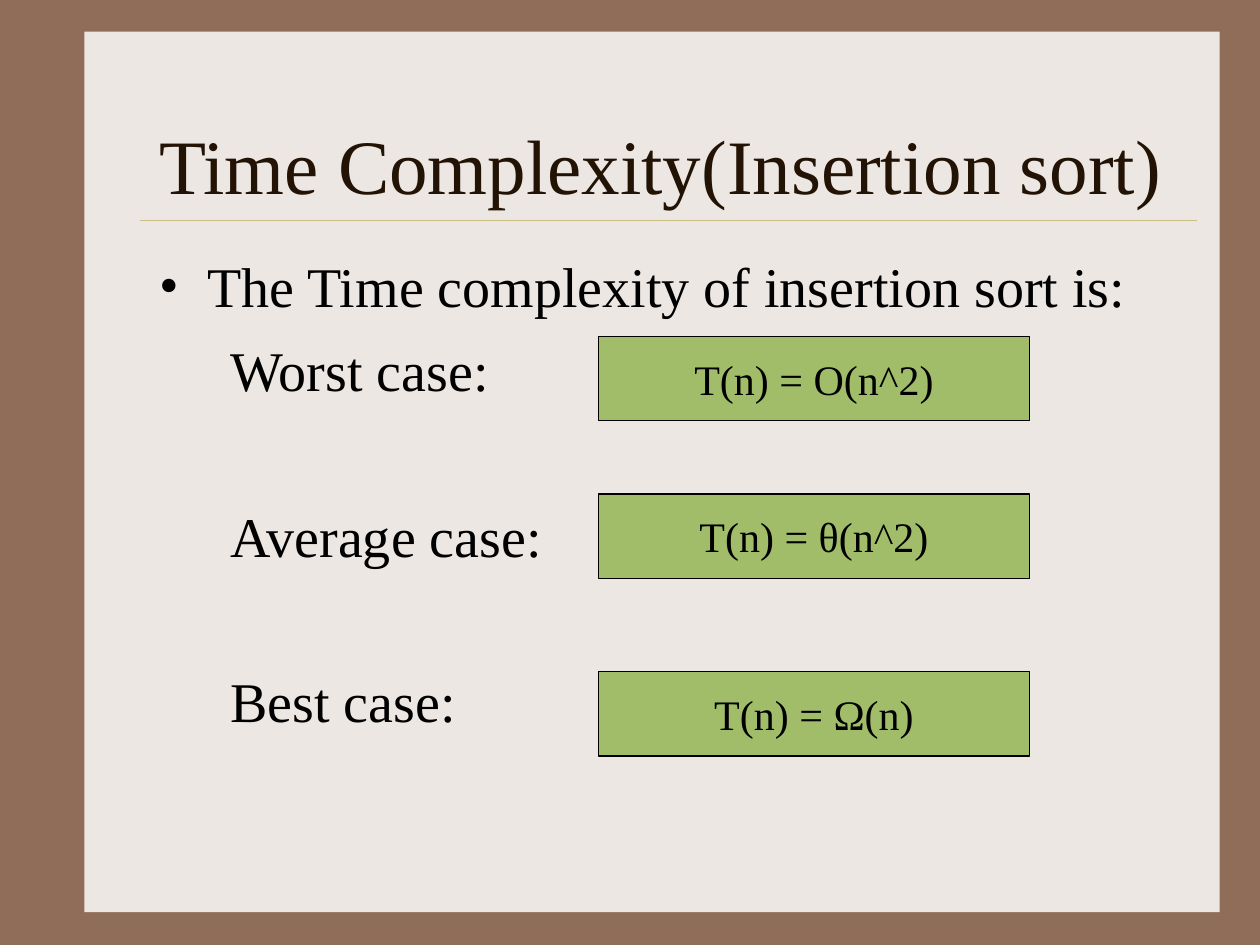
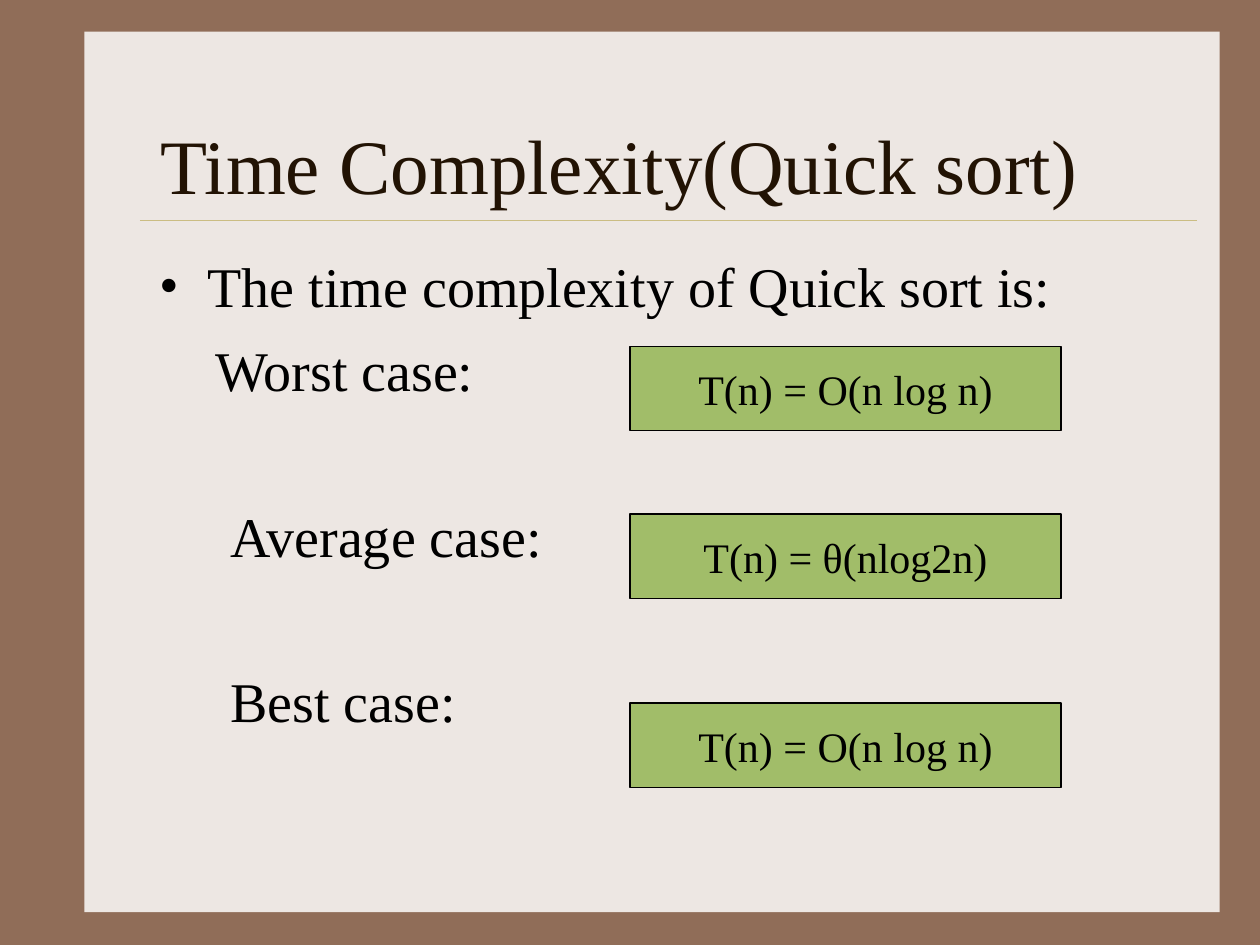
import pptx
import pptx.dml.color
import pptx.enum.shapes
import pptx.enum.text
import pptx.oxml.ns
import pptx.util
from lxml import etree
from pptx.util import Inches

FONT = "Times New Roman"
BROWN, PAPER, RULE = "906D58", "EDE7E3", "CBBD83"
TITLE_COLOR, BLACK, GREEN = "221304", "000000", "A1BD69"

SLIDES = [
    {
        "title": "Time Complexity(Insertion sort)",
        "title_left": 1.08,
        "intro": "The Time complexity of insertion sort is:",
        "box_left": 4.75,
        "cases": [
            ("Worst case:", 0.56, "T(n) = O(n^2)", 2.67),
            ("Average case:", 0.56, "T(n) = θ(n^2)", 3.92),
            ("Best case:", 0.56, "T(n) = Ω(n)", 5.33),
        ],
    },
    {
        "title": "Time Complexity(Quick sort)",
        "title_left": 0.75,
        "intro": "The time complexity of Quick sort is:",
        "box_left": 5,
        "cases": [
            ("Worst case:", 0.44, "T(n) = O(n log n)", 2.75),
            ("Average case:", 0.56, "T(n) = θ(nlog2n)", 4.08),
            ("Best case:", 0.56, "T(n) = O(n log n)", 5.58),
        ],
    },
]

TEXT_WIDTH = 8.33
BOX_WIDTH, BOX_HEIGHT = 3.42, 0.67
INTRO_INDENT = 0.38
FIRST_CASE_GAP, CASE_GAP = 9.6, 56


def color(hex_string):
    return pptx.dml.color.RGBColor.from_string(hex_string)


def format_text(paragraph, size, hex_string):
    for run in paragraph.runs:
        run.font.name = FONT
        run.font.size = pptx.util.Pt(size)
        run.font.color.rgb = color(hex_string)


def add_rectangle(slide, left, top, width, height, fill):
    shape = slide.shapes.add_shape(
        pptx.enum.shapes.MSO_SHAPE.RECTANGLE,
        Inches(left), Inches(top), Inches(width), Inches(height))
    shape.shadow.inherit = False
    shape.fill.solid()
    shape.fill.fore_color.rgb = color(fill)
    shape.line.fill.background()
    return shape


def center_text(text_frame, text, size, hex_string):
    text_frame.text = text
    text_frame.vertical_anchor = pptx.enum.text.MSO_ANCHOR.MIDDLE
    paragraph = text_frame.paragraphs[0]
    paragraph.alignment = pptx.enum.text.PP_ALIGN.CENTER
    format_text(paragraph, size, hex_string)


def add_text_frame(slide, left, top, height):
    text_frame = slide.shapes.add_textbox(
        Inches(left), Inches(top), Inches(TEXT_WIDTH), Inches(height)).text_frame
    text_frame.word_wrap = True
    return text_frame


def set_indent(paragraph, margin, indent=0):
    properties = paragraph._p.get_or_add_pPr()
    properties.set("marL", str(Inches(margin)))
    properties.set("indent", str(Inches(indent)))
    return properties


def add_bullet(properties):
    bullet_color = etree.SubElement(properties, pptx.oxml.ns.qn("a:buClr"))
    etree.SubElement(bullet_color, pptx.oxml.ns.qn("a:srgbClr"), val=BLACK)
    etree.SubElement(properties, pptx.oxml.ns.qn("a:buFont"), typeface=FONT)
    etree.SubElement(properties, pptx.oxml.ns.qn("a:buChar"), char="•")


def add_frame(slide):
    slide.background.fill.solid()
    slide.background.fill.fore_color.rgb = color(BROWN)
    add_rectangle(slide, 0.67, 0.25, 9.01, 6.99, PAPER)
    rule = slide.shapes.add_connector(
        pptx.enum.shapes.MSO_CONNECTOR.STRAIGHT,
        Inches(1.11), Inches(1.75), Inches(9.5), Inches(1.75))
    rule.line.color.rgb = color(RULE)
    rule.line.width = pptx.util.Pt(0.25)
    etree.SubElement(rule._element.spPr, pptx.oxml.ns.qn("a:effectLst"))


def add_case_list(slide, intro, cases):
    text_frame = add_text_frame(slide, 1.17, 1.95, 4.5)
    paragraph = text_frame.paragraphs[0]
    paragraph.text = intro
    add_bullet(set_indent(paragraph, INTRO_INDENT, -INTRO_INDENT))
    format_text(paragraph, 32, BLACK)
    for index, (label, margin, formula, top) in enumerate(cases):
        paragraph = text_frame.add_paragraph()
        paragraph.text = label
        set_indent(paragraph, margin)
        paragraph.space_before = pptx.util.Pt(CASE_GAP if index else FIRST_CASE_GAP)
        format_text(paragraph, 32, BLACK)


def add_formula(slide, left, top, formula):
    box = add_rectangle(slide, left, top, BOX_WIDTH, BOX_HEIGHT, GREEN)
    box.line.color.rgb = color(BLACK)
    box.line.width = pptx.util.Pt(0.75)
    box.text_frame.word_wrap = False
    center_text(box.text_frame, formula, 24, BLACK)


def main():
    presentation = pptx.Presentation()
    presentation.slide_width = Inches(10)
    presentation.slide_height = Inches(7.5)
    for content in SLIDES:
        slide = presentation.slides.add_slide(presentation.slide_layouts[6])
        add_frame(slide)
        title_frame = add_text_frame(slide, content["title_left"], 0.67, 1.25)
        center_text(title_frame, content["title"], 44, TITLE_COLOR)
        add_case_list(slide, content["intro"], content["cases"])
        for label, margin, formula, top in content["cases"]:
            add_formula(slide, content["box_left"], top, formula)
    presentation.save("out.pptx")


if __name__ == "__main__":
    main()
